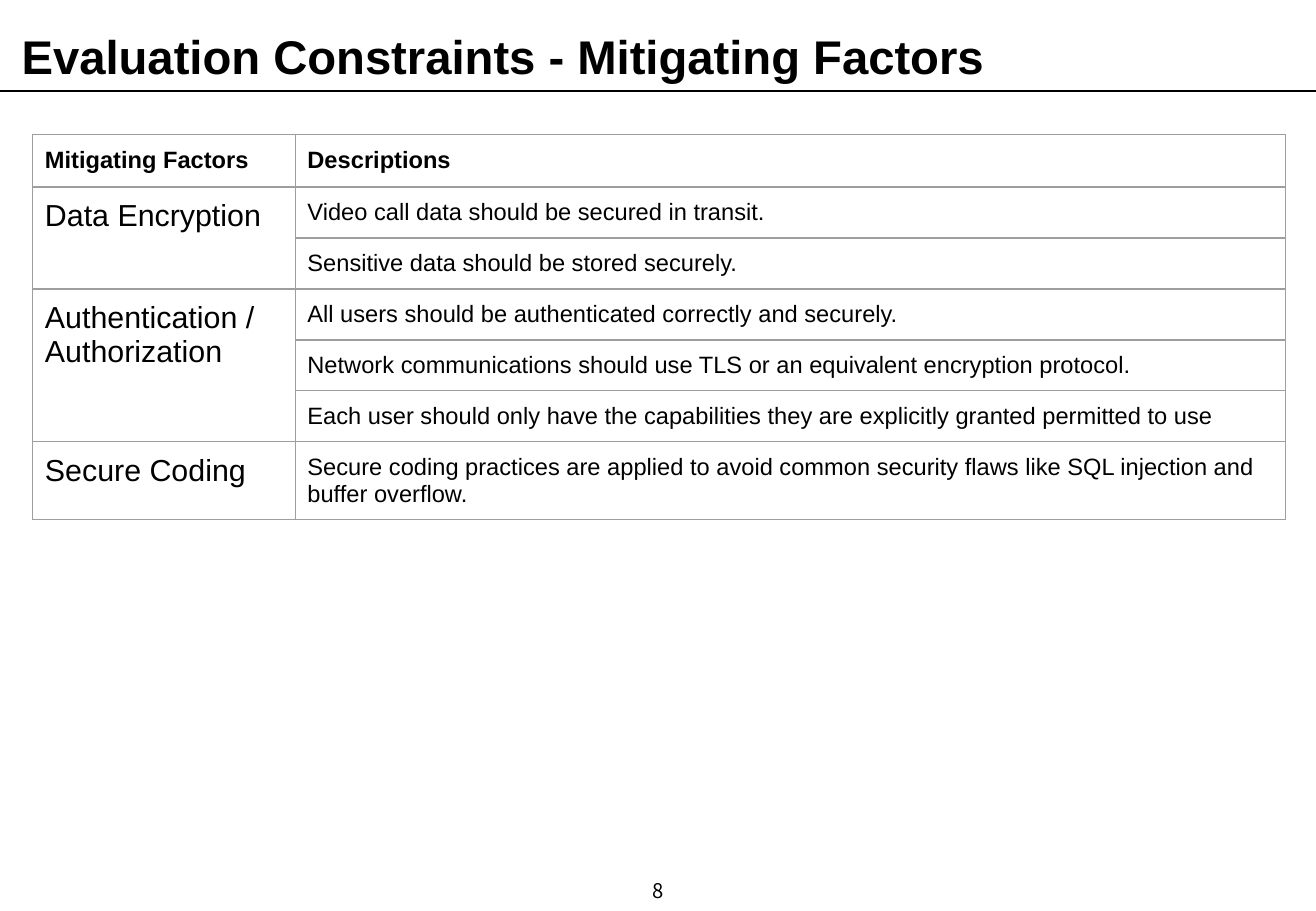
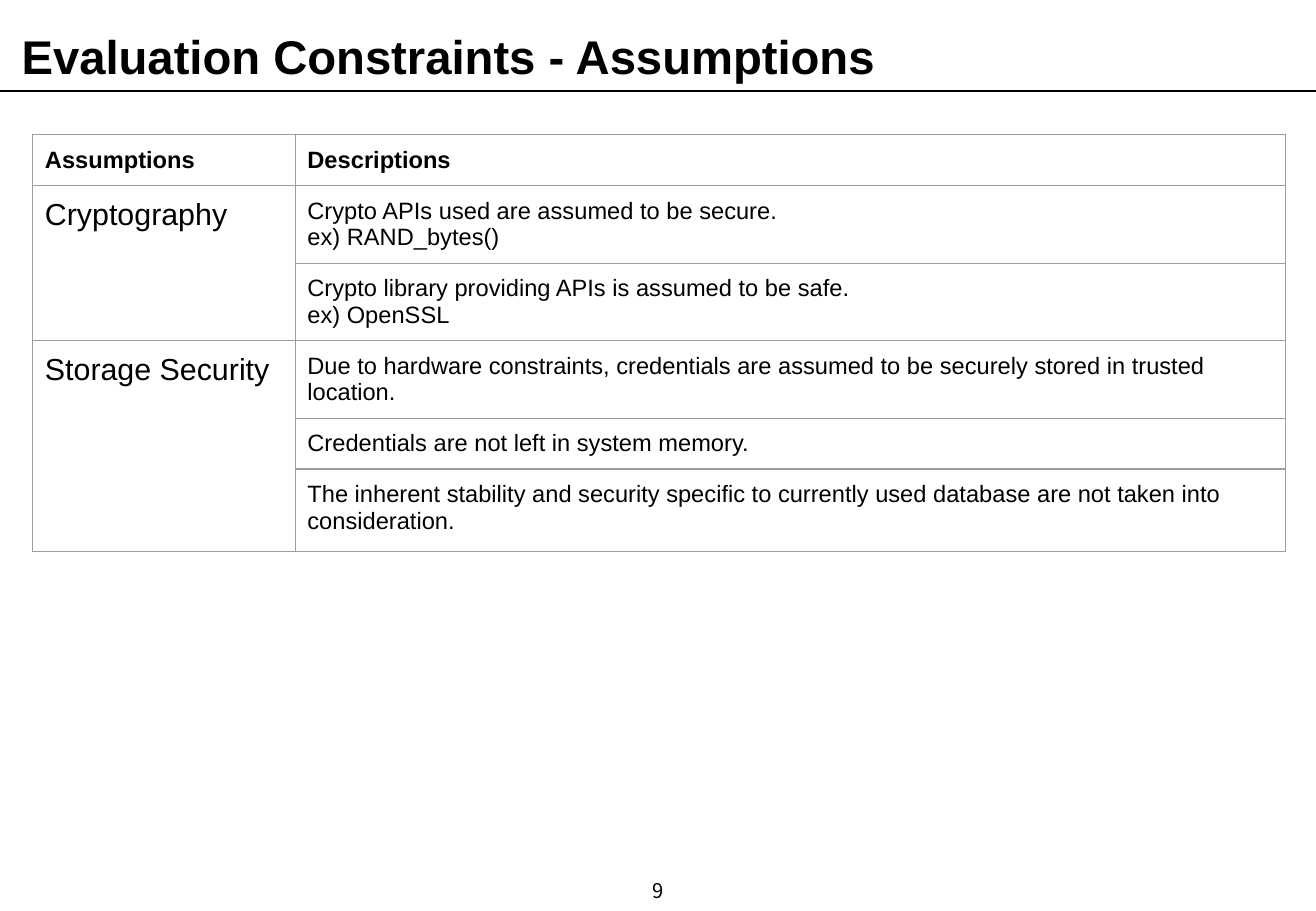
from dataclasses import dataclass

from lxml import etree
from pptx import Presentation
from pptx.dml.color import RGBColor
from pptx.enum.shapes import MSO_CONNECTOR
from pptx.enum.text import MSO_ANCHOR, MSO_AUTO_SIZE, PP_ALIGN
from pptx.oxml.ns import qn
from pptx.util import Inches, Pt

STRAIGHT = MSO_CONNECTOR.STRAIGHT
TOP, MIDDLE = MSO_ANCHOR.TOP, MSO_ANCHOR.MIDDLE
LEFT, CENTER = PP_ALIGN.LEFT, PP_ALIGN.CENTER
FIT_SHAPE = MSO_AUTO_SIZE.SHAPE_TO_FIT_TEXT

BLANK_LAYOUT = 6
SLIDE_WIDTH, SLIDE_HEIGHT = 10.83, 7.5
RULE_TOP = 0.75
TABLE_LEFT, TABLE_TOP = 0.27, 1.11
COLUMN_WIDTHS = (2.16, 8.15)
CELL_MARGIN = 0.1
LINE_WIDTH = 0.75


@dataclass(frozen=True)
class TextStyle:
    size: float
    font: str = "Arial"
    bold: bool = False
    align: PP_ALIGN = LEFT
    line_spacing: float | None = None


@dataclass(frozen=True)
class Theme:
    ink: RGBColor = RGBColor(0x00, 0x00, 0x00)
    paper: RGBColor = RGBColor(0xFF, 0xFF, 0xFF)
    grid: str = "9E9E9E"
    title: TextStyle = TextStyle(28, bold=True, line_spacing=1.2)
    header: TextStyle = TextStyle(14, bold=True)
    topic: TextStyle = TextStyle(18)
    body: TextStyle = TextStyle(14)
    number: TextStyle = TextStyle(12, font="Noto Sans CJK KR", align=CENTER)


THEME = Theme()


@dataclass(frozen=True)
class Topic:
    name: str
    descriptions: tuple[str, ...]  # one row each; a line break starts a paragraph


@dataclass(frozen=True)
class ConstraintPage:
    number: int
    subject: str
    row_heights: tuple[float, ...]
    topics: tuple[Topic, ...]


PAGES = (
    ConstraintPage(8, "Mitigating Factors", (0.43, 0.42, 0.42, 0.42, 0.42, 0.42, 0.63), (
        Topic("Data Encryption", (
            "Video call data should be secured in transit.",
            "Sensitive data should be stored securely.",
        )),
        Topic("Authentication / Authorization", (
            "All users should be authenticated correctly and securely.",
            "Network communications should use TLS or an equivalent encryption protocol.",
            "Each user should only have the capabilities they are explicitly granted "
            "permitted to use",
        )),
        Topic("Secure Coding", (
            "Secure coding practices are applied to avoid common security flaws like "
            "SQL injection and buffer overflow.",
        )),
    )),
    ConstraintPage(9, "Assumptions", (0.42, 0.63, 0.63, 0.63, 0.42, 0.68), (
        Topic("Cryptography", (
            "Crypto APIs used are assumed to be secure.\nex) RAND_bytes()",
            "Crypto library providing APIs is assumed to be safe.\nex) OpenSSL",
        )),
        Topic("Storage Security", (
            "Due to hardware constraints, credentials are assumed to be securely "
            "stored in trusted location.",
            "Credentials are not left in system memory.",
            "The inherent stability and security specific to currently used database "
            "are not taken into consideration.",
        )),
    )),
)


def write_text(frame, text: str, style: TextStyle) -> None:
    for index, line in enumerate(text.split("\n")):
        para = frame.add_paragraph() if index else frame.paragraphs[0]
        para.alignment = style.align
        if style.line_spacing:
            para.line_spacing = style.line_spacing
        span = para.add_run()
        span.text = line
        span.font.name = style.font
        span.font.size = Pt(style.size)
        span.font.bold = style.bold
        span.font.color.rgb = THEME.ink


def add_text(page, left: float, top: float, width: float, height: float,
             text: str, style: TextStyle, anchor: MSO_ANCHOR = TOP):
    box = page.shapes.add_textbox(Inches(left), Inches(top), Inches(width), Inches(height))
    frame = box.text_frame
    frame.word_wrap = True
    frame.vertical_anchor = anchor
    write_text(frame, text, style)
    return box


def add_rule(page) -> None:
    rule = page.shapes.add_connector(
        STRAIGHT, Inches(0), Inches(RULE_TOP), Inches(SLIDE_WIDTH), Inches(RULE_TOP))
    rule.line.color.rgb = THEME.ink
    rule.line.width = Pt(LINE_WIDTH)
    etree.SubElement(rule._element.spPr, qn("a:effectLst"))


def style_cell(cell) -> None:
    cell.margin_left = cell.margin_right = Inches(CELL_MARGIN)
    cell.margin_top = cell.margin_bottom = Inches(CELL_MARGIN)
    cell.fill.background()
    properties = cell._tc.get_or_add_tcPr()
    # Borders must come before the fill
    for index, side in enumerate(("a:lnL", "a:lnR", "a:lnT", "a:lnB")):
        border = etree.Element(qn(side), w=str(Pt(LINE_WIDTH)))
        fill = etree.SubElement(border, qn("a:solidFill"))
        etree.SubElement(fill, qn("a:srgbClr"), val=THEME.grid)
        properties.insert(index, border)


def add_constraint_table(page, content: ConstraintPage) -> None:
    heights = content.row_heights
    table = page.shapes.add_table(
        len(heights), len(COLUMN_WIDTHS), Inches(TABLE_LEFT), Inches(TABLE_TOP),
        Inches(sum(COLUMN_WIDTHS)), Inches(sum(heights))).table
    table.first_row = table.horz_banding = False
    for column, width in zip(table.columns, COLUMN_WIDTHS):
        column.width = Inches(width)
    for row, height in zip(table.rows, heights):
        row.height = Inches(height)
    for cell in table.iter_cells():
        style_cell(cell)

    # Header row
    for column, heading in enumerate((content.subject, "Descriptions")):
        write_text(table.cell(0, column).text_frame, heading, THEME.header)

    # Each topic spans the rows of its descriptions
    first = 1
    for topic in content.topics:
        last = first + len(topic.descriptions) - 1
        if last > first:
            table.cell(first, 0).merge(table.cell(last, 0))
        write_text(table.cell(first, 0).text_frame, topic.name, THEME.topic)
        for row, description in enumerate(topic.descriptions, first):
            write_text(table.cell(row, 1).text_frame, description, THEME.body)
        first = last + 1


def add_page(deck, content: ConstraintPage) -> None:
    page = deck.slides.add_slide(deck.slide_layouts[BLANK_LAYOUT])
    page.background.fill.solid()
    page.background.fill.fore_color.rgb = THEME.paper
    add_constraint_table(page, content)
    # Page number, rule and title
    add_text(page, 4.15, 7.13, 2.53, 0.4, str(content.number), THEME.number, MIDDLE)
    add_rule(page)
    title = add_text(page, 0.08, 0.08, 10.7, 0.57,
                     f"Evaluation Constraints - {content.subject}", THEME.title)
    title.text_frame.auto_size = FIT_SHAPE


def main() -> None:
    deck = Presentation()
    deck.slide_width = Inches(SLIDE_WIDTH)
    deck.slide_height = Inches(SLIDE_HEIGHT)
    for content in PAGES:
        add_page(deck, content)
    deck.save("out.pptx")


if __name__ == "__main__":
    main()
